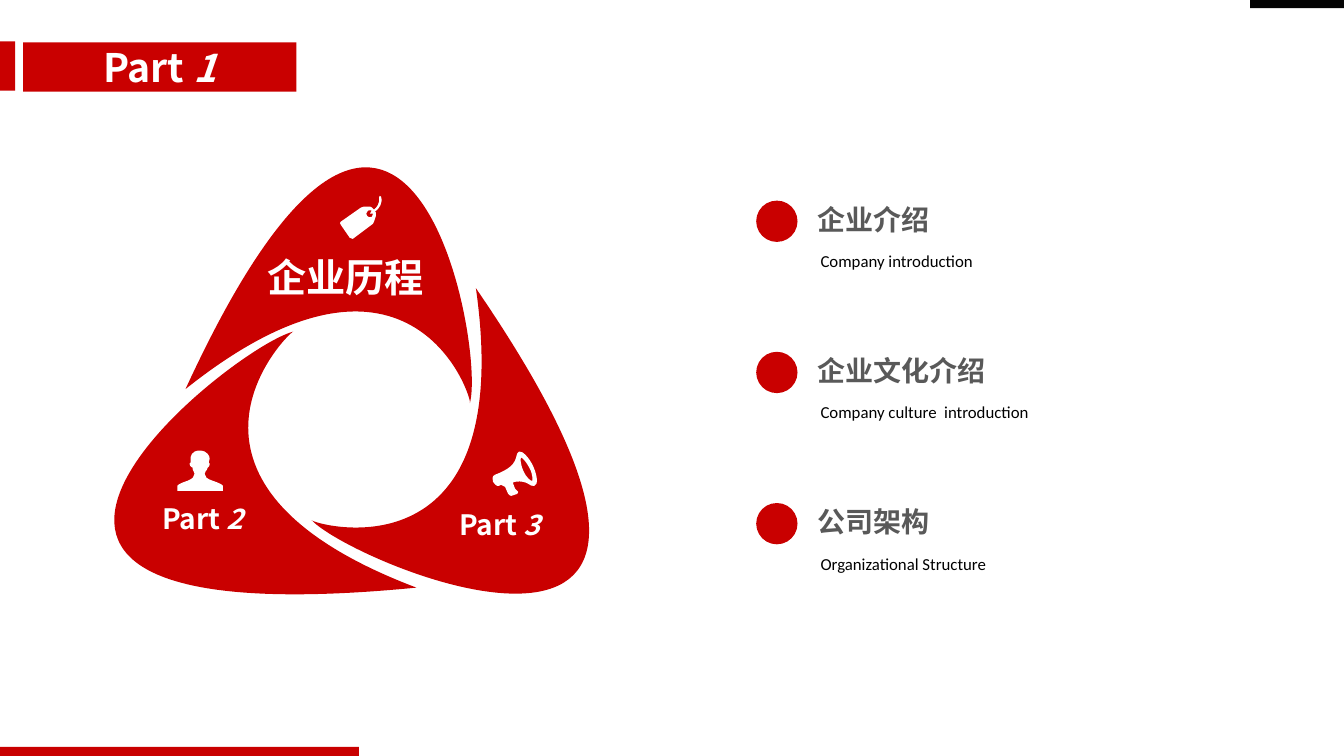
import lxml.etree
import pptx
import pptx.dml.color
import pptx.enum.shapes
import pptx.enum.text
import pptx.oxml.ns
import pptx.util

Inches = pptx.util.Inches
qn = pptx.oxml.ns.qn
SHAPES = pptx.enum.shapes.MSO_SHAPE
ALIGN = pptx.enum.text.PP_ALIGN
ANCHOR = pptx.enum.text.MSO_ANCHOR

RED, WHITE, BLACK, GREY = "C90000", "FFFFFF", "000000", "595959"
CJK_FONT = "Noto Sans CJK SC"
CURVE_STEPS = 24

# Outlines in inches: a start point, then lines (x, y) and cubic curves (six numbers)
BLADES = [
    [(1.84, 3.86), (4.11, 2.05, 4.7, 4, 4.66, 4), (4.82, 3.43, 4.02, -0.88, 1.84, 3.86)],
    [(4.13, 5.83), (1.33, 4.77, 2.9, 3.26, 2.91, 3.29), (2.3, 3.44, -1.4, 6.37, 4.13, 5.83)],
    [(4.72, 2.86), (5.14, 5.81, 3.07, 5.19, 3.09, 5.16), (3.51, 5.61, 7.84, 7.41, 4.72, 2.86)],
]
TAG_ICON = [
    [(3.78, 1.95), (3.77, 1.94, 3.76, 1.94, 3.76, 1.96), (3.77, 2.01, 3.74, 2.06, 3.71, 2.08),
     (3.69, 2.06), (3.67, 2.05), (3.61, 2.05), (3.58, 2.06), (3.38, 2.2),
     (3.37, 2.21, 3.37, 2.22, 3.38, 2.23), (3.47, 2.36), (3.48, 2.37, 3.49, 2.37, 3.5, 2.37),
     (3.7, 2.22), (3.71, 2.2), (3.73, 2.14), (3.73, 2.11), (3.72, 2.1),
     (3.76, 2.07, 3.8, 2.02, 3.78, 1.95)],
    [(3.69, 2.15), (3.67, 2.16, 3.65, 2.16, 3.64, 2.14), (3.63, 2.13, 3.63, 2.11, 3.65, 2.09),
     (3.66, 2.08, 3.68, 2.09, 3.69, 2.09), (3.68, 2.1), (3.67, 2.12), (3.7, 2.12),
     (3.7, 2.13, 3.7, 2.14, 3.69, 2.15)],
]
PERSON_ICON = [
    [(2.11, 4.77), (2.05, 4.75, 2.03, 4.73, 2.03, 4.7), (2.03, 4.67, 2.05, 4.68, 2.06, 4.64),
     (2.06, 4.63, 2.08, 4.64, 2.08, 4.6), (2.07, 4.59), (2.08, 4.55),
     (2.08, 4.53, 2.06, 4.47, 1.98, 4.47), (1.9, 4.47, 1.89, 4.53, 1.89, 4.55),
     (1.89, 4.59), (1.88, 4.6), (1.89, 4.64, 1.9, 4.63, 1.91, 4.64),
     (1.91, 4.68, 1.93, 4.67, 1.93, 4.7), (1.93, 4.73, 1.91, 4.75, 1.86, 4.77),
     (1.8, 4.79, 1.76, 4.81, 1.76, 4.82), (1.76, 4.87), (2.21, 4.87), (2.21, 4.82),
     (2.21, 4.81, 2.17, 4.79, 2.11, 4.77)],
]
MEGAPHONE_ICON = [
    [(5.29, 4.63), (5.25, 4.54, 5.18, 4.47, 5.15, 4.48), (5.09, 4.51, 5.18, 4.61, 4.91, 4.71),
     (4.88, 4.72, 4.88, 4.76, 4.89, 4.78), (4.9, 4.8, 4.93, 4.83, 4.95, 4.82), (4.97, 4.81),
     (4.99, 4.83, 5.01, 4.82, 5.01, 4.83), (5.04, 4.9), (5.05, 4.91, 5.06, 4.92, 5.07, 4.92),
     (5.13, 4.9), (5.14, 4.88), (5.11, 4.85), (5.09, 4.8),
     (5.08, 4.79, 5.09, 4.78, 5.11, 4.78), (5.24, 4.76, 5.26, 4.84, 5.3, 4.82),
     (5.34, 4.81, 5.33, 4.72, 5.29, 4.63)],
    [(5.28, 4.77), (5.27, 4.78, 5.22, 4.74, 5.19, 4.67), (5.16, 4.6, 5.16, 4.54, 5.17, 4.54),
     (5.17, 4.53, 5.22, 4.58, 5.25, 4.64), (5.29, 4.71, 5.28, 4.77, 5.28, 4.77)],
]
TOPICS = [
    ("企业介绍", CJK_FONT, "Company introduction"),
    ("企业文化介绍", "Arial", "Company culture  introduction"),
    ("公司架构", "Arial", "Organizational Structure"),
]


def color(value):
    return pptx.dml.color.RGBColor.from_string(value)


def paint(shape, fill):
    shape.shadow.inherit = False
    shape.fill.solid()
    shape.fill.fore_color.rgb = color(fill)
    shape.line.fill.background()


def add_solid(slide, kind, left, top, width, height, fill):
    shape = slide.shapes.add_shape(
        kind, Inches(left), Inches(top), Inches(width), Inches(height))
    paint(shape, fill)
    return shape


def sample(contour):
    """List points along a contour, to measure its extent."""
    points = [contour[0]]
    for segment in contour[1:]:
        if len(segment) == 6:
            x0, y0 = points[-1]
            x1, y1, x2, y2, x3, y3 = segment
            for step in range(1, CURVE_STEPS):
                t = step / CURVE_STEPS
                a, b, c, d = (1 - t) ** 3, 3 * t * (1 - t) ** 2, 3 * t * t * (1 - t), t ** 3
                points.append((a * x0 + b * x1 + c * x2 + d * x3,
                               a * y0 + b * y1 + c * y2 + d * y3))
        points.append(segment[-2:])
    return points


def add_outline(slide, contours, fill):
    """Build a freeform, then give its outline true curves."""
    corners = [(Inches(s[-2]), Inches(s[-1])) for s in contours[0]]
    builder = slide.shapes.build_freeform(*corners[0])
    builder.add_line_segments(corners[1:], close=True)
    shape = builder.convert_to_shape()
    xs, ys = zip(*(point for contour in contours for point in sample(contour)))
    left, top = min(xs), min(ys)
    shape.left, shape.top = Inches(left), Inches(top)
    shape.width, shape.height = Inches(max(xs) - left), Inches(max(ys) - top)

    geometry = next(shape._element.iter(qn("a:path")))
    for child in list(geometry):
        geometry.remove(child)
    geometry.set("w", str(shape.width))
    geometry.set("h", str(shape.height))
    for contour in contours:
        for index, segment in enumerate(contour):
            tag = "a:cubicBezTo" if len(segment) == 6 else "a:lnTo" if index else "a:moveTo"
            command = lxml.etree.SubElement(geometry, qn(tag))
            for x, y in zip(segment[::2], segment[1::2]):
                lxml.etree.SubElement(command, qn("a:pt"), x=str(Inches(x - left)),
                                      y=str(Inches(y - top)))
        lxml.etree.SubElement(geometry, qn("a:close"))
    paint(shape, fill)


def write(shape, text, size, font, fill, bold=True, number="", align=ALIGN.CENTER,
          anchor=ANCHOR.MIDDLE):
    """Write one paragraph, with an optional italic number at its end."""
    frame = shape.text_frame
    frame.word_wrap = True
    frame.vertical_anchor = anchor
    para = frame.paragraphs[0]
    para.text = text
    para.alignment = align
    if number:
        span = para.add_run()
        span.text = number
        span.font.italic = True
    for span in para.runs:
        span.font.size = pptx.util.Pt(size)
        span.font.name = font
        span.font.bold = bold
        span.font.color.rgb = color(fill)
        east_asian = lxml.etree.Element(qn("a:ea"), typeface=CJK_FONT)
        span.font._element.find(qn("a:latin")).addnext(east_asian)
    return para


def add_box(slide, left, top, width, height):
    return slide.shapes.add_textbox(
        Inches(left), Inches(top), Inches(width), Inches(height))


def add_topic(slide, top, title, title_font, subtitle):
    add_solid(slide, SHAPES.OVAL, 7.5, top, 0.41, 0.41, RED)
    caption = add_box(slide, 8.04, top + 0.35, 3.46, 0.4)
    para = write(caption, subtitle, 12, "Calibri", BLACK, bold=False,
                 align=ALIGN.LEFT, anchor=ANCHOR.TOP)
    para.line_spacing = 1.5
    heading = add_box(slide, 8.11, top + 0.02, 2.34, 0.34)
    frame = heading.text_frame
    frame.margin_left = frame.margin_right = frame.margin_top = frame.margin_bottom = 0
    write(heading, title, 20, title_font, GREY, align=ALIGN.LEFT, anchor=ANCHOR.TOP)


def main():
    deck = pptx.Presentation()
    deck.slide_width, deck.slide_height = Inches(13.33), Inches(7.5)
    slide = deck.slides.add_slide(deck.slide_layouts[6])

    # Title band and edge bars
    add_solid(slide, SHAPES.RECTANGLE, -0.01, 0.41, 0.16, 0.49, RED)
    band = add_solid(slide, SHAPES.RECTANGLE, 0.23, 0.42, 2.71, 0.49, RED)
    write(band, "Part ", 28, CJK_FONT, WHITE, number="1")
    add_solid(slide, SHAPES.RECTANGLE, -0.01, 7.41, 3.57, 0.1, RED)
    add_solid(slide, SHAPES.RECTANGLE, 12.4, 0, 0.94, 0.08, "040404")

    # Three-bladed triangle with an icon on each blade
    for blade, icon in zip(BLADES, (TAG_ICON, PERSON_ICON, MEGAPHONE_ICON)):
        add_outline(slide, [blade], RED)
        add_outline(slide, icon, WHITE)

    # Blade labels
    write(add_box(slide, 2.07, 2.5, 2.71, 0.49), "企业历程", 28, CJK_FONT, WHITE)
    write(add_box(slide, 1.07, 4.93, 1.88, 0.44), "Part ", 20, CJK_FONT, WHITE,
          number="2", anchor=ANCHOR.TOP)
    write(add_box(slide, 3.6, 4.96, 2.71, 0.49), "Part ", 20, CJK_FONT, WHITE, number="3")

    # Topic list
    for index, topic in enumerate(TOPICS):
        add_topic(slide, 1.99 + 1.5 * index, *topic)

    deck.save("out.pptx")


if __name__ == "__main__":
    main()
